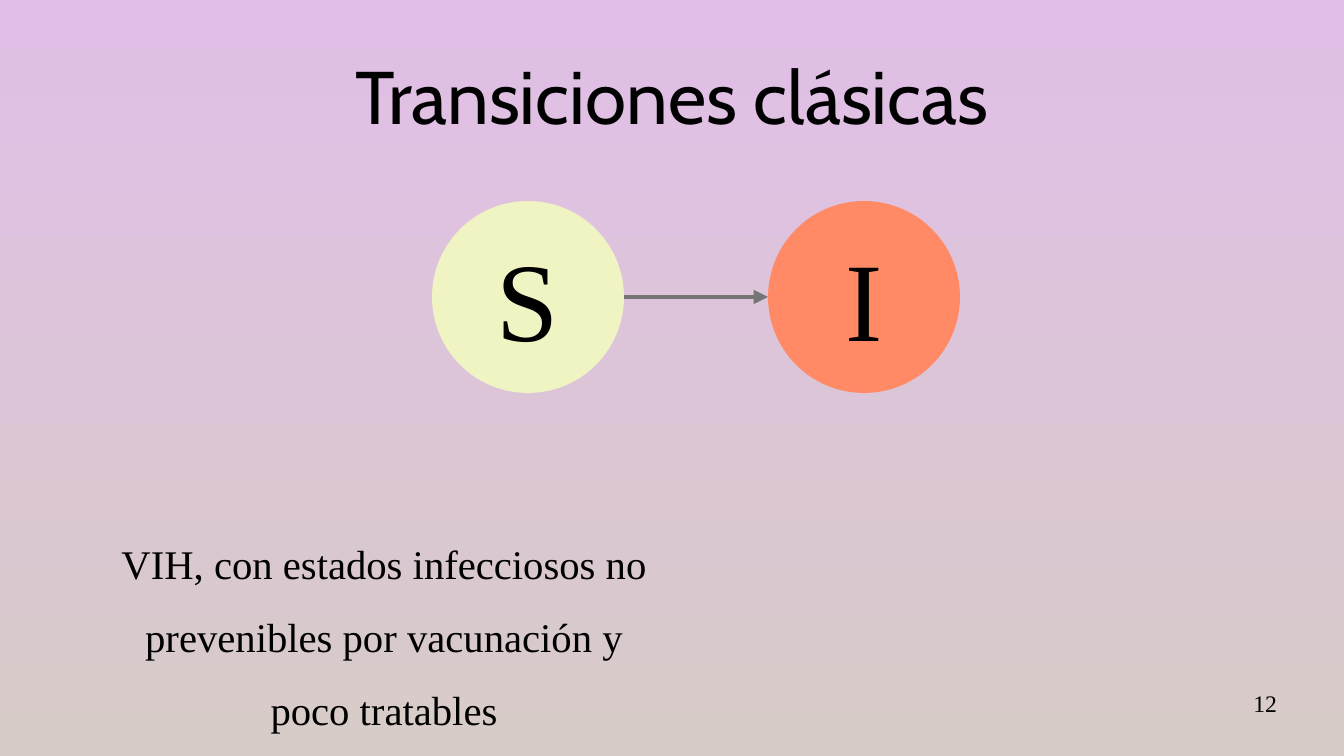
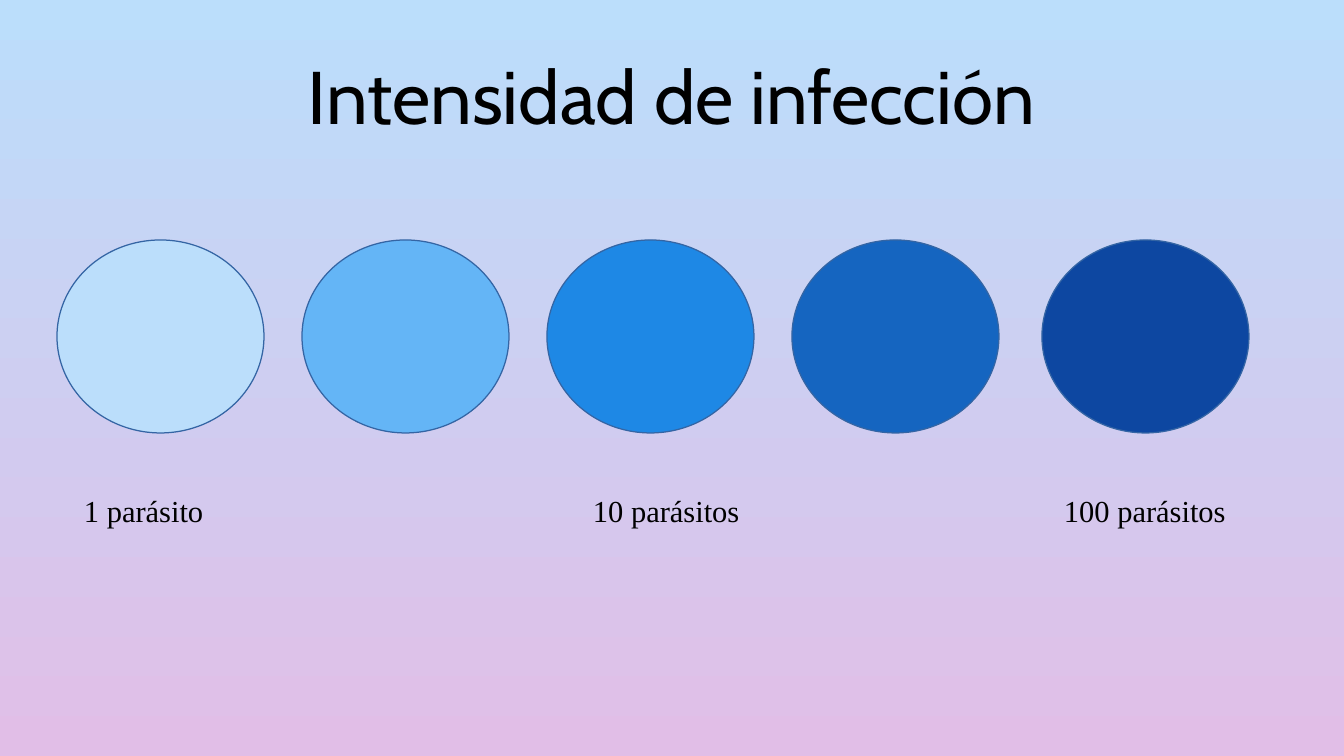
from lxml.etree import SubElement
from pptx import Presentation
from pptx.dml.color import RGBColor
from pptx.enum.shapes import MSO_CONNECTOR as Connector, MSO_SHAPE as Shape
from pptx.enum.text import MSO_ANCHOR as Anchor, PP_ALIGN as Align
from pptx.oxml.ns import qn
from pptx.util import Emu, Pt

# Shared look
BLACK = RGBColor(0x00, 0x00, 0x00)
GREY = RGBColor(0x75, 0x75, 0x75)
OUTLINE = RGBColor(0x34, 0x65, 0xA4)
LILAC = RGBColor(0xE1, 0xBE, 0xE7)
SAND = RGBColor(0xD7, 0xCC, 0xC8)
PALE_BLUE = RGBColor(0xBB, 0xDE, 0xFB)
LIME = RGBColor(0xF0, 0xF4, 0xC3)
ORANGE = RGBColor(0xFF, 0x8A, 0x65)
BLUES = (
    PALE_BLUE,
    RGBColor(0x64, 0xB5, 0xF6),
    RGBColor(0x1E, 0x88, 0xE5),
    RGBColor(0x15, 0x65, 0xC0),
    RGBColor(0x0D, 0x47, 0xA1),
)
TITLE_FONT = "Cabin"
BODY_FONT = "Times New Roman"
PX_PER_INCH = 122
WIDTH, HEIGHT = 1344, 756
INSETS = (12, 6)


def px(length):
    return Emu(round(length * 914400 / PX_PER_INCH))


def write(shape, text, size, font=BODY_FONT, align=Align.LEFT,
          anchor=Anchor.TOP, insets=INSETS, spacing=None):
    frame = shape.text_frame
    frame.word_wrap = True
    frame.vertical_anchor = anchor
    frame.margin_left = frame.margin_right = px(insets[0])
    frame.margin_top = frame.margin_bottom = px(insets[1])
    para = frame.paragraphs[0]
    para.alignment = align
    if spacing:
        para.line_spacing = spacing
    span = para.add_run()
    span.text = text
    span.font.name = font
    span.font.size = Pt(size)
    span.font.color.rgb = BLACK


def add_text(page, place, text, size, **style):
    box = page.shapes.add_textbox(*map(px, place))
    write(box, text, size, **style)


def add_ellipse(page, place, fill, outline=None):
    ellipse = page.shapes.add_shape(Shape.OVAL, *map(px, place))
    ellipse.shadow.inherit = False
    ellipse.fill.solid()
    ellipse.fill.fore_color.rgb = fill
    if outline is None:
        ellipse.line.fill.background()
    else:
        ellipse.line.color.rgb = outline
        ellipse.line.width = Pt(0)
    return ellipse


def add_arrow(page, start, end, y):
    arrow = page.shapes.add_connector(
        Connector.STRAIGHT, px(start), px(y), px(end), px(y))
    arrow.line.color.rgb = GREY
    arrow.line.width = Pt(2.83)
    SubElement(arrow.line._get_or_add_ln(), qn("a:tailEnd"), type="triangle")
    SubElement(arrow._element.spPr, qn("a:effectLst"))


def add_page(deck, title, top_color, bottom_color):
    page = deck.slides.add_slide(deck.slide_layouts[6])
    fill = page.background.fill
    fill.gradient()
    fill.gradient_angle = 270  # counter-clockwise, so top to bottom
    for stop, color, position in zip(
            fill.gradient_stops, (top_color, bottom_color), (0, 1)):
        stop.color.rgb = color
        stop.position = position
    add_text(page, (67, 31, 1210, 127), title, 44, font=TITLE_FONT,
             align=Align.CENTER, anchor=Anchor.MIDDLE, insets=(0, 0))
    return page


def build_transitions(deck):
    page = add_page(deck, "Transiciones clásicas", LILAC, SAND)

    # Two states and the step between them
    left, top, size, gap = 432, 201, 192, 144
    for index, (state, color) in enumerate((("S", LIME), ("I", ORANGE))):
        place = (left + index * (size + gap), top, size, size)
        circle = add_ellipse(page, place, color)
        write(circle, state, 66, align=Align.CENTER, anchor=Anchor.MIDDLE)
    add_arrow(page, left + size, left + size + gap, top + size // 2)

    # Example and page number
    add_text(page, (96, 508, 576, 195),
             "VIH, con estados infecciosos no prevenibles por vacunación "
             "y poco tratables", 24, align=Align.CENTER, spacing=1.5)
    add_text(page, (964, 689, 313, 52), "12", 14, align=Align.RIGHT,
             insets=(0, 0))


def build_intensity(deck):
    page = add_page(deck, "Intensidad de infección", PALE_BLUE, LILAC)

    # Scale from light to heavy infection
    for left, color in zip((57, 302, 547, 792, 1042), BLUES):
        add_ellipse(page, (left, 240, 207, 193), color, OUTLINE)

    # Labels under the scale
    for left, width, label in ((72, 168, "1 parásito"),
                               (581, 211, "10 parásitos"),
                               (1052, 211, "100 parásitos")):
        add_text(page, (left, 486, width, 115), label, 18)


def main():
    deck = Presentation()
    deck.slide_width, deck.slide_height = px(WIDTH), px(HEIGHT)
    build_transitions(deck)
    build_intensity(deck)
    deck.save("out.pptx")


if __name__ == "__main__":
    main()
